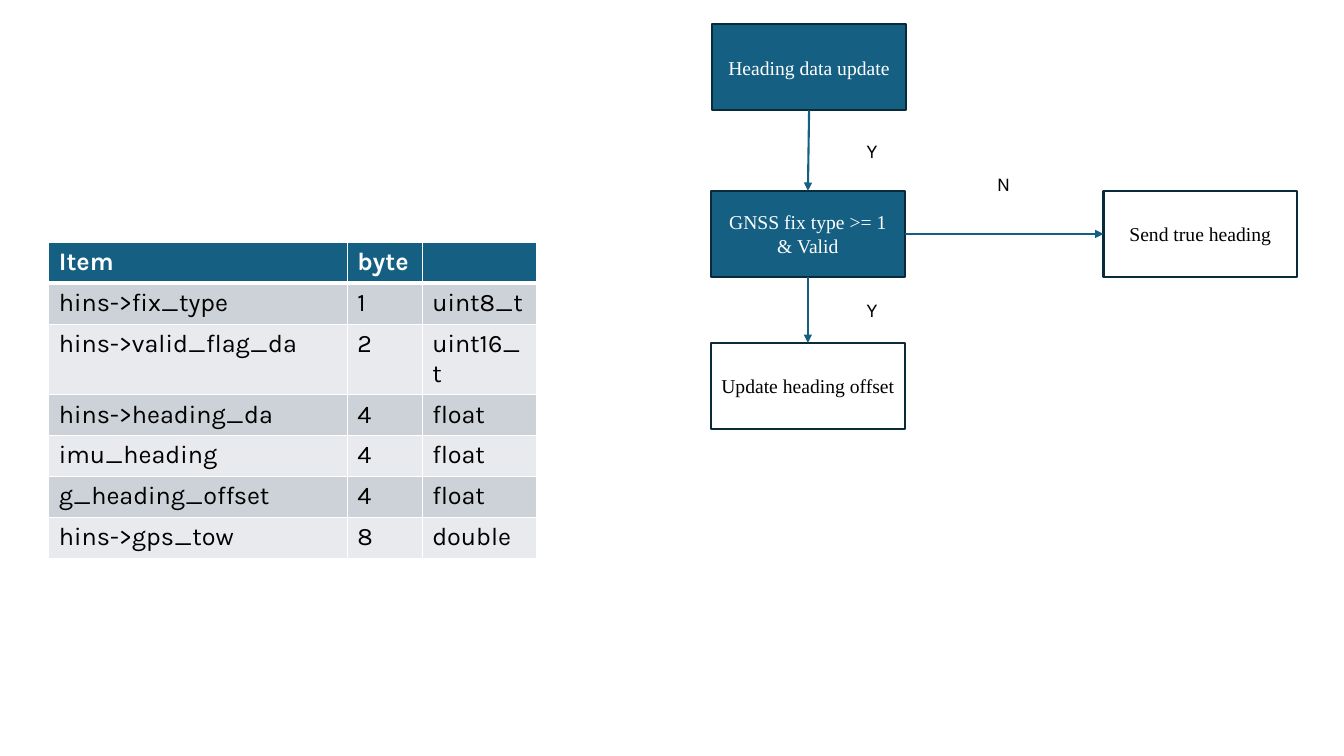
from lxml.etree import SubElement
from pptx import Presentation
from pptx.dml.color import RGBColor
from pptx.enum.shapes import MSO_CONNECTOR, MSO_SHAPE
from pptx.enum.text import MSO_ANCHOR, MSO_AUTO_SIZE, PP_ALIGN
from pptx.oxml.ns import qn
from pptx.util import Cm, Pt

BLUE, NAVY, WHITE, BLACK = "156082", "092A39", "FFFFFF", "000000"
BANDS = ("CCD2D8", "E8EAED")
TOP, LEFT, BOTTOM, RIGHT = range(4)  # connection sites of a rectangle

LABEL_FONT = {"name": "Karla", "size": Pt(14)}
BOX_FONT = {"name": "Times New Roman", "size": Pt(14)}
HEAD_FONT = {"name": "Karla", "size": Pt(18), "bold": True}
BODY_FONT = {"name": "Karla", "size": Pt(18), "bold": False}

COLUMN_WIDTHS = (7.52, 1.89, 2.88)
ROW_HEIGHT = 1.03
ROWS = (
    ("Item", "byte", ""),
    ("hins->fix_type", "1", "uint8_t"),
    ("hins->valid_flag_da", "2", "uint16_t"),
    ("hins->heading_da", "4", "float"),
    ("imu_heading", "4", "float"),
    ("g_heading_offset", "4", "float"),
    ("hins->gps_tow", "8", "double"),
)


def rgb(value):
    return RGBColor.from_string(value)


def write(tf, text, font, color):
    r = tf.paragraphs[0].add_run()
    r.text = text
    for name, value in font.items():
        setattr(r.font, name, value)
    r.font.color.rgb = rgb(color)


def paint(fill, color):
    fill.solid()
    fill.fore_color.rgb = rgb(color)


def add_box(slide, text, left, top, fill, color):
    sp = slide.shapes.add_shape(MSO_SHAPE.RECTANGLE, Cm(left), Cm(top), Cm(4.88), Cm(2.17))
    sp.shadow.inherit = False
    paint(sp.fill, fill)
    sp.line.color.rgb = rgb(NAVY)
    sp.line.width = Pt(1.5)
    tf = sp.text_frame
    tf.word_wrap = True
    tf.vertical_anchor = MSO_ANCHOR.MIDDLE
    tf.paragraphs[0].alignment = PP_ALIGN.CENTER
    write(tf, text, BOX_FONT, color)
    return sp


def add_label(slide, text, left, top):
    sp = slide.shapes.add_textbox(Cm(left), Cm(top), Cm(0.8), Cm(0.86))
    tf = sp.text_frame
    tf.word_wrap = False
    tf.auto_size = MSO_AUTO_SIZE.SHAPE_TO_FIT_TEXT
    write(tf, text, LABEL_FONT, BLACK)


def add_arrow(slide, start, start_site, end, end_site):
    cxn = slide.shapes.add_connector(MSO_CONNECTOR.STRAIGHT, 0, 0, 0, 0)
    cxn.begin_connect(start, start_site)
    cxn.end_connect(end, end_site)
    cxn.line.color.rgb = rgb(BLUE)
    cxn.line.width = Pt(1.5)
    SubElement(cxn.line._get_or_add_ln(), qn("a:tailEnd"), type="triangle")
    SubElement(cxn._element.spPr, qn("a:effectLst"))


def add_border(cell, side, points):
    """Draw a white line on one side: L, R, T or B."""
    ln = SubElement(cell._tc.get_or_add_tcPr(), qn(f"a:ln{side}"), w=str(Pt(points)))
    fill = SubElement(ln, qn("a:solidFill"))
    SubElement(fill, qn("a:srgbClr"), val=WHITE)


def add_data_table(slide, left, top):
    table = slide.shapes.add_table(
        len(ROWS), len(COLUMN_WIDTHS), Cm(left), Cm(top),
        Cm(sum(COLUMN_WIDTHS)), Cm(ROW_HEIGHT * len(ROWS))).table
    for column, width in zip(table.columns, COLUMN_WIDTHS):
        column.width = Cm(width)
    for i, texts in enumerate(ROWS):
        table.rows[i].height = Cm(ROW_HEIGHT)
        head = i == 0
        for j, text in enumerate(texts):
            cell = table.cell(i, j)
            for side in "LRTB":
                thick = (head and side == "B") or (i == 1 and side == "T")
                add_border(cell, side, 3 if thick else 1)
            paint(cell.fill, BLUE if head else BANDS[(i - 1) % 2])
            if text:
                write(cell.text_frame, text, HEAD_FONT if head else BODY_FONT,
                      WHITE if head else BLACK)


def main():
    prs = Presentation()
    prs.slide_width, prs.slide_height = Cm(33.87), Cm(19.05)
    slide = prs.slides.add_slide(prs.slide_layouts[6])

    update = add_box(slide, "Heading data update", 17.95, 0.61, BLUE, WHITE)
    check = add_box(slide, "GNSS fix type >= 1 & Valid", 17.92, 4.81, BLUE, WHITE)
    offset = add_box(slide, "Update heading offset", 17.92, 8.64, WHITE, BLACK)
    send = add_box(slide, "Send true heading", 27.81, 4.81, WHITE, BLACK)

    add_label(slide, "Y", 21.59, 3.38)
    add_label(slide, "Y", 21.59, 7.37)
    add_label(slide, "N", 24.87, 4.22)

    add_arrow(slide, check, RIGHT, send, LEFT)
    add_arrow(slide, check, BOTTOM, offset, TOP)
    add_arrow(slide, update, BOTTOM, check, TOP)

    add_data_table(slide, 1.23, 6.11)
    prs.save("out.pptx")


if __name__ == "__main__":
    main()
